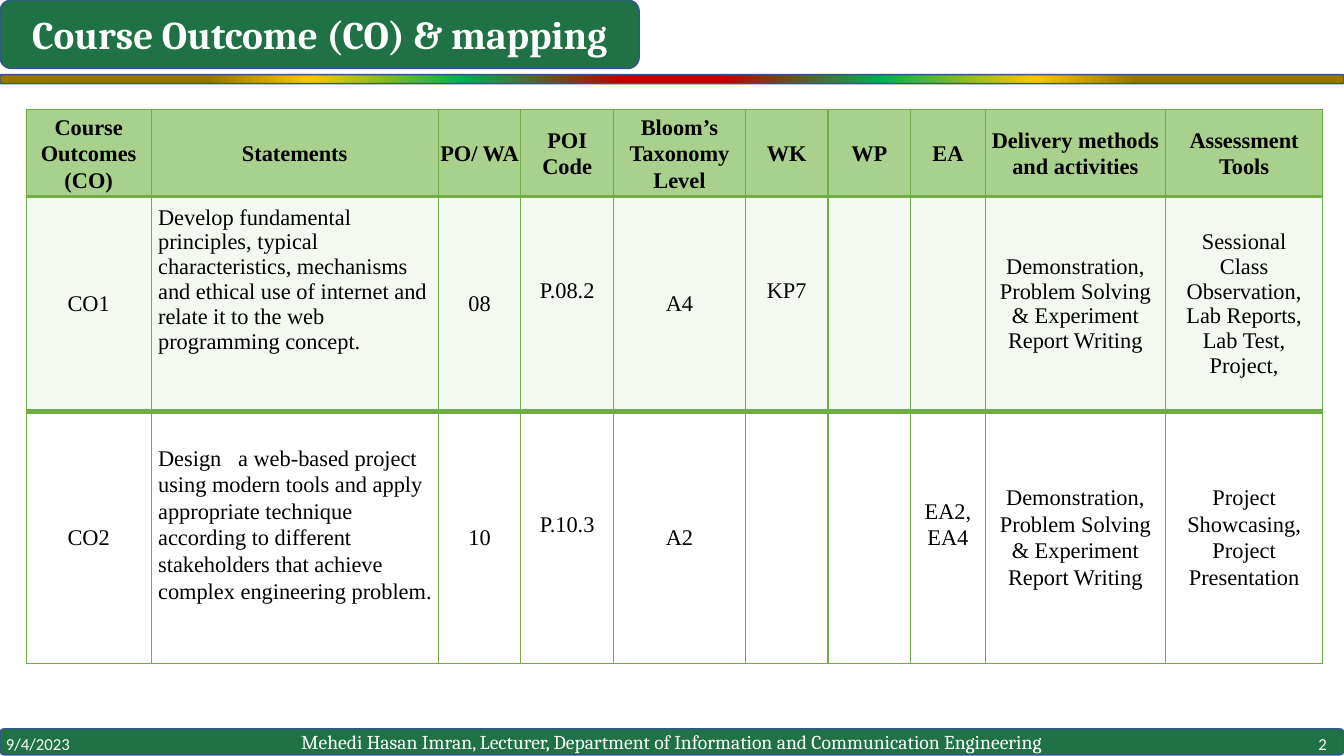
import pptx
import pptx.dml.color
import pptx.enum.shapes
import pptx.enum.text
import pptx.oxml
import pptx.oxml.ns
import pptx.util
from lxml import etree

RGBColor = pptx.dml.color.RGBColor
Inches, Pt = pptx.util.Inches, pptx.util.Pt
ALIGN, ANCHOR = pptx.enum.text.PP_ALIGN, pptx.enum.text.MSO_ANCHOR
qn = pptx.oxml.ns.qn

BANNER_GREEN = RGBColor(0x20, 0x72, 0x46)
BANNER_EDGE = RGBColor(0x32, 0x54, 0x91)
HEADER_GREEN = RGBColor(0xA9, 0xD1, 0x8E)
BAND_GREEN = RGBColor(0xC5, 0xE0, 0xB4)
BORDER_GREEN = RGBColor(0x70, 0xAD, 0x47)
WHITE = RGBColor(0xFF, 0xFF, 0xFF)
BLACK = RGBColor(0, 0, 0)
RIBBON_STOPS = [(7, RGBColor(0xC0, 0, 0)), (31, RGBColor(0, 0xB0, 0x50)),
                (54, RGBColor(0xFF, 0xC3, 0x0D)), (69, RGBColor(0x99, 0x73, 0))]

TITLE_FONT = {"name": "Cambria", "size": Pt(28), "bold": True}
CREDIT_FONT = {"name": "Cambria", "size": Pt(14)}
STAMP_FONT = {"name": "Calibri", "size": Pt(12)}
HEADER_FONT = {"name": "Times New Roman", "size": Pt(16), "bold": True}
BODY_FONT = {**HEADER_FONT, "bold": False}

COLUMN_WEIGHTS = [1.24, 2.85, 0.82, 0.92, 1.31, 0.82, 0.82, 0.74, 1.79, 1.56]
STATEMENT_COLUMN = 1
DELIVERY = "Demonstration,\nProblem Solving\n& Experiment\nReport Writing"
# Per row: height, line spacing, font, fill, fill opacity, top and bottom border,
# space kept free under the text by column, texts
TABLE_ROWS = [
    {"height": 0.86, "spacing": 1.07, "font": HEADER_FONT, "fill": HEADER_GREEN,
     "opacity": 100, "top": 1, "bottom": 2, "lift": {},
     "texts": ["Course Outcomes (CO)", "Statements", "PO/ WA", "POI\nCode",
               "Bloom’s Taxonomy Level", "WK", "WP", "EA",
               "Delivery methods and activities", "Assessment Tools"]},
    {"height": 2.13, "spacing": 1.0, "font": BODY_FONT, "fill": BAND_GREEN,
     "opacity": 20, "top": 2, "bottom": 4, "lift": {1: 0.48, 3: 0.25, 5: 0.25},
     "texts": ["CO1", "Develop fundamental principles, typical characteristics, "
               "mechanisms and ethical use of internet and relate it to the web "
               "programming concept.", "08", "P.08.2", "A4", "KP7", "", "", DELIVERY,
               "Sessional\nClass\nObservation,\nLab Reports,\nLab Test,\nProject,"]},
    {"height": 2.5, "spacing": 1.07, "font": BODY_FONT, "fill": None,
     "opacity": 100, "top": 4, "bottom": 1, "lift": {1: 0.26, 3: 0.26, 7: 0.26},
     "texts": ["CO2", "Design \u00a0 a web-based project using modern tools and apply "
               "appropriate technique according to different stakeholders that "
               "achieve complex engineering problem.", "10", "P.10.3", "A2", "", "",
               "EA2,\nEA4", DELIVERY, "Project Showcasing,\nProject Presentation"]},
]


def write_text(frame, text, font, color, alignment, spacing=1.0):
    frame.word_wrap = True
    frame.text = text
    for paragraph in frame.paragraphs:
        paragraph.alignment = alignment
        paragraph.line_spacing = spacing
        for name, value in font.items():
            setattr(paragraph.font, name, value)
        paragraph.font.color.rgb = color


def add_banner(slide, box):
    """Add a green rounded bar with a thin blue edge."""
    banner = slide.shapes.add_shape(
        pptx.enum.shapes.MSO_SHAPE.ROUNDED_RECTANGLE, *map(Inches, box))
    banner.shadow.inherit = False
    banner.fill.solid()
    banner.fill.fore_color.rgb = BANNER_GREEN
    banner.line.color.rgb = BANNER_EDGE
    banner.line.width = Pt(1)
    banner.text_frame.vertical_anchor = ANCHOR.MIDDLE
    return banner


def add_ribbon(slide, box):
    """Add the thin bar whose colours run outwards from its centre."""
    ribbon = add_banner(slide, box)
    stops = "".join(f'<a:gs pos="{share * 1000}"><a:srgbClr val="{color}"/></a:gs>'
                    for share, color in RIBBON_STOPS)
    gradient = pptx.oxml.parse_xml(
        f'<a:gradFill {pptx.oxml.ns.nsdecls("a")}><a:gsLst>{stops}</a:gsLst>'
        '<a:path path="circle">'
        '<a:fillToRect l="50000" t="130000" r="50000" b="-30000"/>'
        '</a:path></a:gradFill>')
    solid = ribbon.element.spPr.find(qn("a:solidFill"))
    ribbon.element.spPr.replace(solid, gradient)


def add_title(slide, box):
    banner = add_banner(slide, box)
    title = slide.shapes.title
    title.left, title.top, title.width, title.height = map(Inches, box)
    write_text(title.text_frame, "Course Outcome (CO) & mapping",
               TITLE_FONT, WHITE, ALIGN.CENTER)
    title.text_frame.auto_size = pptx.enum.text.MSO_AUTO_SIZE.NONE
    title.text_frame.vertical_anchor = ANCHOR.MIDDLE
    banner.element.addnext(title.element)


def add_footer(slide, box):
    left, top, width, height = box
    banner = add_banner(slide, box)
    write_text(banner.text_frame, "Mehedi Hasan Imran, Lecturer, Department of "
               "Information and Communication Engineering",
               CREDIT_FONT, WHITE, ALIGN.CENTER)
    stamp_width, stamp_height = 3, 0.4
    stamps = [("9/4/2023", left - 0.04, ALIGN.LEFT),
              ("2", left + width - stamp_width - 0.07, ALIGN.RIGHT)]
    for text, stamp_left, alignment in stamps:
        stamp = slide.shapes.add_textbox(
            Inches(stamp_left), Inches(top + (height - stamp_height) / 2 + 0.02),
            Inches(stamp_width), Inches(stamp_height))
        stamp.text_frame.vertical_anchor = ANCHOR.MIDDLE
        write_text(stamp.text_frame, text, STAMP_FONT, WHITE, alignment)


def set_borders(cell, top, bottom):
    properties = cell._tc.get_or_add_tcPr()
    widths = {"lnL": 1, "lnR": 1, "lnT": top, "lnB": bottom}
    for position, (tag, width) in enumerate(widths.items()):
        line = etree.Element(qn(f"a:{tag}"), w=str(Pt(width)))
        fill = etree.SubElement(line, qn("a:solidFill"))
        etree.SubElement(fill, qn("a:srgbClr"), val=str(BORDER_GREEN))
        properties.insert(position, line)


def fill_cell(cell, color, opacity):
    if color is None:
        cell.fill.background()
        return
    cell.fill.solid()
    cell.fill.fore_color.rgb = color
    if opacity < 100:
        tint = cell._tc.tcPr.find(".//" + qn("a:srgbClr"))
        etree.SubElement(tint, qn("a:alpha"), val=str(opacity * 1000))


def add_outcome_table(slide, box):
    table = slide.shapes.add_table(
        len(TABLE_ROWS), len(COLUMN_WEIGHTS), *map(Inches, box)).table
    table.first_row = table.horz_banding = False
    for column, weight in zip(table.columns, COLUMN_WEIGHTS):
        column.width = Inches(box[2] * weight / sum(COLUMN_WEIGHTS))
    for row, style in zip(table.rows, TABLE_ROWS):
        row.height = Inches(style["height"])
        for index, (cell, text) in enumerate(zip(row.cells, style["texts"])):
            is_statement = index == STATEMENT_COLUMN and style["font"] is BODY_FONT
            cell.margin_left = Inches(0.07 if is_statement else 0)
            cell.margin_right = cell.margin_top = 0
            cell.margin_bottom = Inches(style["lift"].get(index, 0))
            cell.vertical_anchor = ANCHOR.MIDDLE
            write_text(cell.text_frame, text, style["font"], BLACK,
                       ALIGN.LEFT if is_statement else ALIGN.CENTER, style["spacing"])
            fill_cell(cell, style["fill"], style["opacity"])
            set_borders(cell, style["top"], style["bottom"])


def main():
    presentation = pptx.Presentation()
    width, height = 13.33, 7.5
    presentation.slide_width = Inches(width)
    presentation.slide_height = Inches(height)
    slide = presentation.slides.add_slide(
        presentation.slide_layouts.get_by_name("Title Only"))
    add_ribbon(slide, (0, 0.74, width, 0.09))
    add_footer(slide, (0, 7.23, width, 0.26))
    add_outcome_table(slide, (0.26, 1.09, 12.86, 5.49))
    add_title(slide, (0, 0, 6.34, 0.68))
    presentation.save("out.pptx")


if __name__ == "__main__":
    main()
